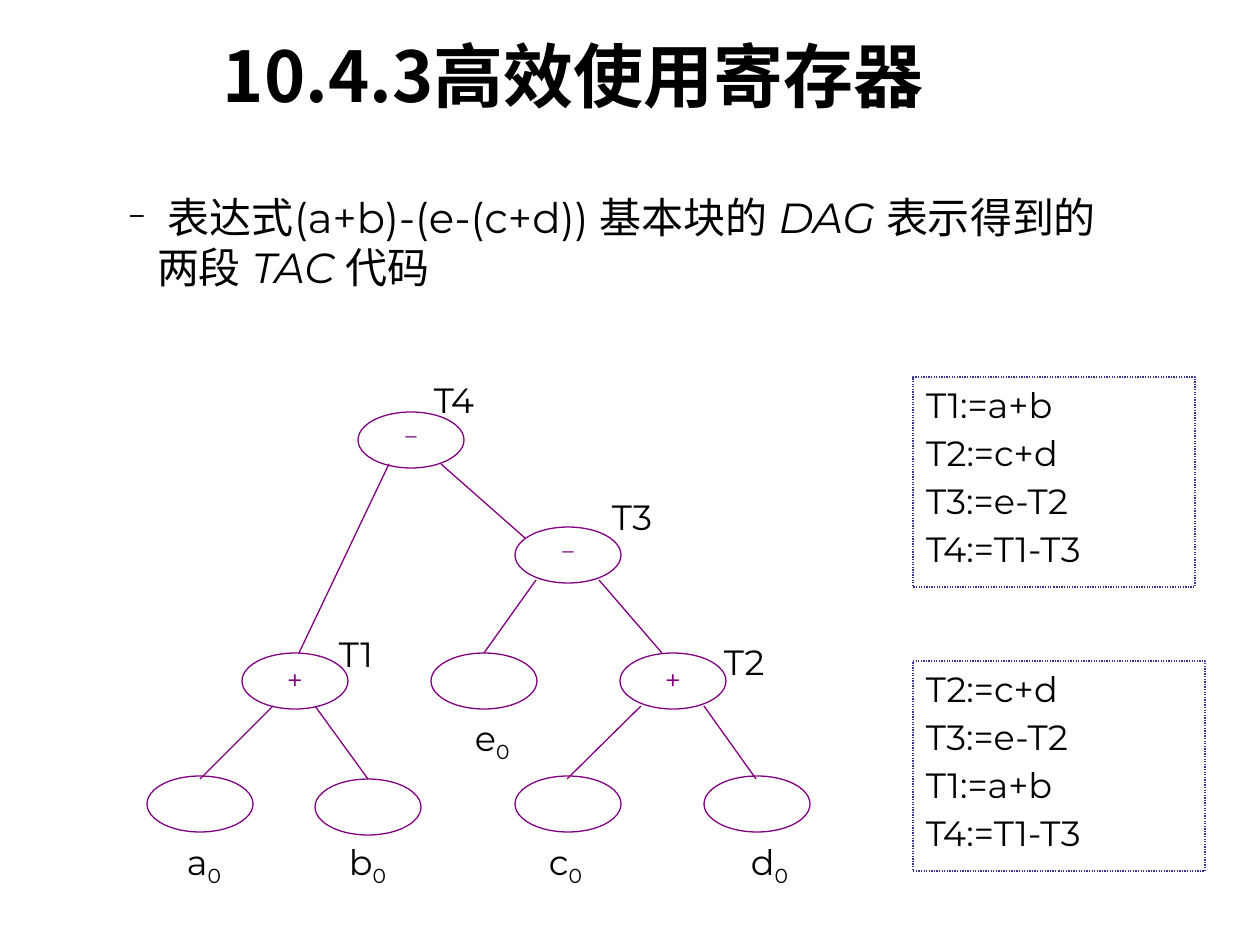
import pptx
import pptx.util
import pptx.dml.color
import pptx.enum.dml
import pptx.enum.shapes
import pptx.enum.text
import pptx.oxml
import pptx.oxml.ns
from dataclasses import dataclass

EMU_PER_PX = 914400 / 126
ANCHOR = pptx.enum.text.MSO_ANCHOR
ALIGN = pptx.enum.text.PP_ALIGN
SHAPE = pptx.enum.shapes.MSO_SHAPE


@dataclass(frozen=True)
class Theme:
    ink: str = "000000"
    tree: str = "800080"
    frame: str = "333399"
    node_fill: str = "FFFFFF"
    title_font: str = "Noto Sans CJK JP"
    text_font: str = "Montserrat"
    minus_font: str = "Times New Roman"
    title_size: int = 40
    body_size: int = 24
    label_size: int = 20
    plus_size: int = 16
    minus_size: int = 14
    line_width: float = 0.75


THEME = Theme()

NODE_SIZE = (106, 56)
# Left, top, operator
NODES = [
    (358, 412, "−"), (515, 527, "−"),
    (242, 653, "+"), (431, 653, ""), (620, 653, "+"),
    (147, 776, ""), (315, 779, ""), (515, 776, ""), (704, 776, ""),
]
EDGES = [
    (389, 464, 299, 653), (441, 464, 525, 538),
    (536, 580, 484, 653), (599, 580, 662, 653),
    (273, 706, 200, 779), (315, 706, 368, 779),
    (641, 706, 567, 779), (704, 706, 756, 779),
]
# Text, subscript, left, top
LABELS = [
    ("T4", "", 421, 378), ("T3", "", 599, 495),
    ("T1", "", 326, 633), ("T2", "", 711, 640),
    ("e", "0", 462, 716), ("a", "0", 174, 840), ("b", "0", 336, 840),
    ("c", "0", 536, 840), ("d", "0", 738, 840),
]
CODE_BLOCKS = [
    ((913, 377, 282, 210), ["T1:=a+b", "T2:=c+d", "T3:=e-T2", "T4:=T1-T3"]),
    ((913, 661, 292, 210), ["T2:=c+d", "T3:=e-T2", "T1:=a+b", "T4:=T1-T3"]),
]
BODY_RUNS = [
    (" 表达式(a+b)-(e-(c+d)) 基本块的 ", False), ("DAG ", True),
    ("表示得到的两段 ", False), ("TAC ", True), ("代码", False),
]


def px(*lengths):
    return [pptx.util.Emu(round(length * EMU_PER_PX)) for length in lengths]


def rgb(color):
    return pptx.dml.color.RGBColor.from_string(color)


def apply(target, values):
    for name, value in values.items():
        setattr(target, name, value)


def add_run(paragraph, text, size, font=THEME.text_font, color=THEME.ink, **style):
    """Add a run that uses one typeface for Latin and East Asian text."""
    run = paragraph.add_run()
    run.text = text
    apply(run.font, {"size": pptx.util.Pt(size), "name": font, **style})
    run.font.color.rgb = rgb(color)
    east_asian = pptx.oxml.parse_xml(
        f'<a:ea {pptx.oxml.ns.nsdecls("a")} typeface="{font}"/>')
    properties = run._r.get_or_add_rPr()
    properties.find(pptx.oxml.ns.qn("a:latin")).addnext(east_asian)
    return run


def format_frame(shape, anchor=ANCHOR.TOP, margins=(13, 6)):
    horizontal, vertical = px(*margins)
    frame = shape.text_frame
    apply(frame, {
        "word_wrap": True, "vertical_anchor": anchor,
        "auto_size": pptx.enum.text.MSO_AUTO_SIZE.NONE,
        "margin_left": horizontal, "margin_right": horizontal,
        "margin_top": vertical, "margin_bottom": vertical,
    })
    return frame


def place(shape, *box):
    apply(shape, dict(zip(("left", "top", "width", "height"), px(*box))))


def format_line(shape, color):
    shape.line.color.rgb = rgb(color)
    shape.line.width = pptx.util.Pt(THEME.line_width)


def fill_title(slide):
    title = slide.shapes.title
    place(title, 210, 26, 847, 97)
    paragraph = format_frame(title, ANCHOR.MIDDLE).paragraphs[0]
    paragraph.alignment = ALIGN.LEFT
    add_run(paragraph, "10.4.3高效使用寄存器", THEME.title_size, THEME.title_font, bold=True)


def fill_body(slide):
    body = slide.placeholders[1]
    place(body, 115, 185, 998, 115)
    paragraph = format_frame(body).paragraphs[0]
    paragraph.space_before = pptx.util.Pt(0)
    properties = paragraph._p.get_or_add_pPr()
    indent = px(29)[0]
    properties.set("marL", str(indent))
    properties.set("indent", str(-indent))
    for element in ('buSzPct val="75000"', f'buFont typeface="{THEME.text_font}"',
                    'buChar char="−"'):
        properties.append(pptx.oxml.parse_xml(
            f'<a:{element} {pptx.oxml.ns.nsdecls("a")}/>'))
    for text, italic in BODY_RUNS:
        add_run(paragraph, text, THEME.body_size, italic=italic)


def add_node(slide, left, top, operator):
    node = slide.shapes.add_shape(SHAPE.OVAL, *px(left, top, *NODE_SIZE))
    node.shadow.inherit = False
    node.fill.solid()
    node.fill.fore_color.rgb = rgb(THEME.node_fill)
    format_line(node, THEME.tree)
    if operator:
        paragraph = format_frame(node, margins=(8, 1)).paragraphs[0]
        paragraph.alignment = ALIGN.CENTER
        size, font = {"+": (THEME.plus_size, THEME.text_font),
                      "−": (THEME.minus_size, THEME.minus_font)}[operator]
        add_run(paragraph, operator, size, font, THEME.tree)


def add_edge(slide, *ends):
    edge = slide.shapes.add_connector(
        pptx.enum.shapes.MSO_CONNECTOR.STRAIGHT, *px(*ends))
    format_line(edge, THEME.tree)
    edge._element.spPr.append(pptx.oxml.parse_xml(
        f'<a:effectLst {pptx.oxml.ns.nsdecls("a")}/>'))


def add_label(slide, text, subscript, left, top):
    label = slide.shapes.add_textbox(*px(left, top, 74, 43))
    paragraph = format_frame(label, margins=(13, 0)).paragraphs[0]
    add_run(paragraph, text, THEME.label_size)
    if subscript:
        run = add_run(paragraph, subscript, THEME.label_size)
        run._r.get_or_add_rPr().set("baseline", "-25000")


def add_code_block(slide, box, lines):
    block = slide.shapes.add_shape(SHAPE.RECTANGLE, *px(*box))
    block.shadow.inherit = False
    block.fill.background()
    format_line(block, THEME.frame)
    block.line.dash_style = pptx.enum.dml.MSO_LINE.ROUND_DOT
    frame = format_frame(block)
    for index, line in enumerate(lines):
        paragraph = frame.add_paragraph() if index else frame.paragraphs[0]
        paragraph.alignment = ALIGN.LEFT
        if index:
            paragraph.space_before = pptx.util.Pt(3.6)
        add_run(paragraph, line, THEME.label_size)


def main():
    presentation = pptx.Presentation()
    apply(presentation, dict(zip(("slide_width", "slide_height"), px(1260, 945))))
    slide = presentation.slides.add_slide(presentation.slide_layouts[1])
    fill_title(slide)
    fill_body(slide)
    for node in NODES:
        add_node(slide, *node)
    for edge in EDGES:
        add_edge(slide, *edge)
    for label in LABELS:
        add_label(slide, *label)
    for box, lines in CODE_BLOCKS:
        add_code_block(slide, box, lines)
    presentation.save("out.pptx")


if __name__ == "__main__":
    main()
